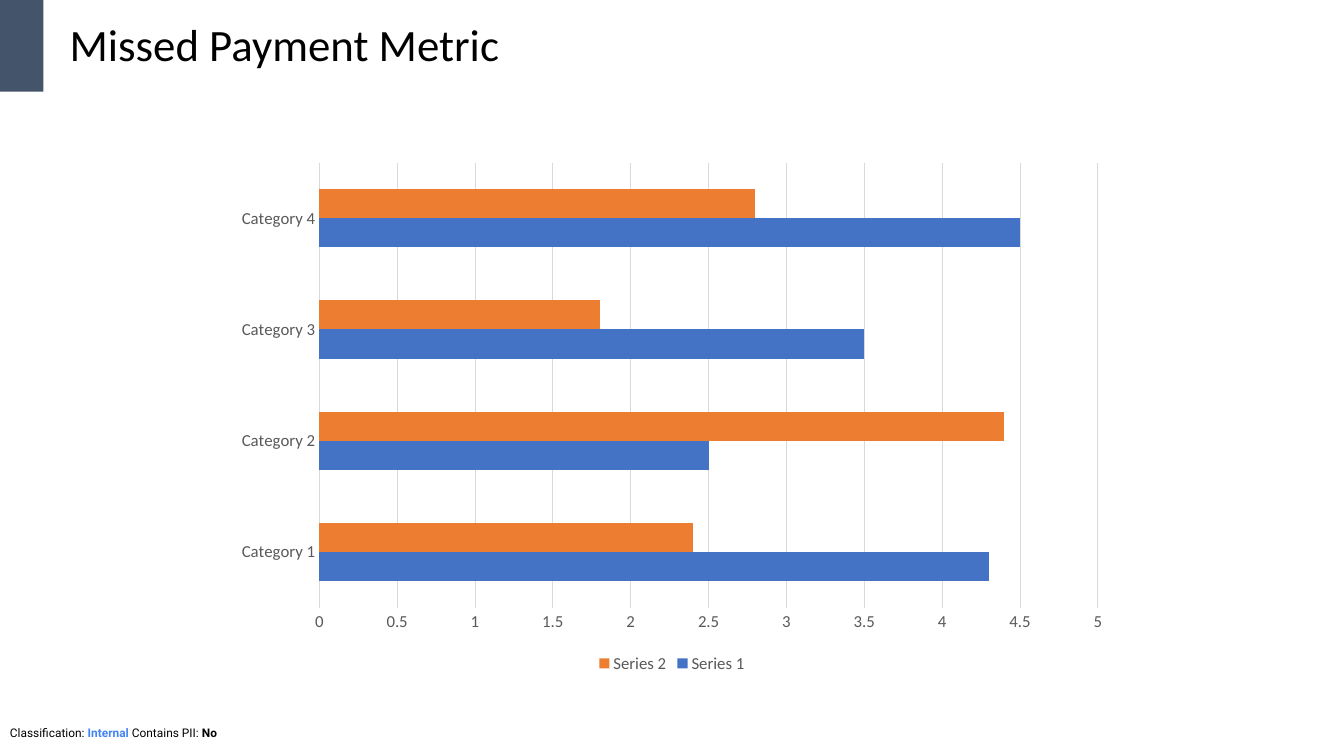
"""Build the missed payment metric slide with a clustered bar chart."""
from dataclasses import dataclass

from pptx import Presentation
from pptx.chart.data import CategoryChartData
from pptx.dml.color import RGBColor
from pptx.enum.chart import XL_CHART_TYPE, XL_LEGEND_POSITION, XL_TICK_MARK
from pptx.enum.shapes import MSO_SHAPE
from pptx.enum.text import MSO_ANCHOR, MSO_AUTO_SIZE, PP_ALIGN
from pptx.util import Inches, Pt

BAR_CLUSTERED = XL_CHART_TYPE.BAR_CLUSTERED
LEGEND_BOTTOM = XL_LEGEND_POSITION.BOTTOM
NO_TICK = XL_TICK_MARK.NONE
RECTANGLE = MSO_SHAPE.RECTANGLE
MIDDLE = MSO_ANCHOR.MIDDLE
LEFT = PP_ALIGN.LEFT
NO_AUTOFIT = MSO_AUTO_SIZE.NONE
FIT_SHAPE = MSO_AUTO_SIZE.SHAPE_TO_FIT_TEXT

TITLE_ONLY_LAYOUT = 5
BLACK = "000000"
SLATE = "44546A"
LABEL_GREY = "595959"
LINE_GREY = "D9D9D9"
LINK_BLUE = "4285F4"


@dataclass(frozen=True)
class TextRun:
    """A run of text with its formatting."""

    text: str
    size: float
    font_name: str
    color: str = BLACK
    bold: bool = False


@dataclass(frozen=True)
class BarSeries:
    """A named chart series with its colour."""

    name: str
    values: tuple[float, ...]
    color: str


TITLE = (TextRun("Missed Payment Metric", 32, "Calibri"),)
CLASSIFICATION = (
    TextRun("Classification: ", 8.5, "Roboto"),
    TextRun("Internal", 8.5, "Roboto", LINK_BLUE, True),
    TextRun(" Contains PII: ", 8.5, "Roboto"),
    TextRun("No", 8.5, "Roboto", bold=True),
)
CATEGORIES = tuple(f"Category {number}" for number in range(1, 5))
SERIES = (
    BarSeries("Series 1", (4.3, 2.5, 3.5, 4.5), "4472C4"),
    BarSeries("Series 2", (2.4, 4.4, 1.8, 2.8), "ED7D31"),
)


def rgb(color: str) -> RGBColor:
    """Turn a hex string into a colour."""
    return RGBColor.from_string(color)


def style_font(font, size: float, name: str, color: str, bold: bool = False) -> None:
    """Set the size, typeface, colour and weight of a font."""
    font.size = Pt(size)
    font.name = name
    font.bold = bold
    font.color.rgb = rgb(color)


def style_line(line) -> None:
    """Draw a thin grey line."""
    line.color.rgb = rgb(LINE_GREY)
    line.width = Pt(0.75)


def place(shape, left: float, top: float, width: float, height: float) -> None:
    """Move and size a shape in inches."""
    shape.left, shape.top = Inches(left), Inches(top)
    shape.width, shape.height = Inches(width), Inches(height)


def write_runs(text_frame, runs: tuple[TextRun, ...], line_spacing: float = 1.0) -> None:
    """Write left-aligned runs into the first paragraph."""
    text_frame.word_wrap = True
    paragraph = text_frame.paragraphs[0]
    paragraph.alignment = LEFT
    paragraph.line_spacing = line_spacing
    for item in runs:
        run = paragraph.add_run()
        run.text = item.text
        style_font(run.font, item.size, item.font_name, item.color, item.bold)


def add_classification(slide) -> None:
    """Add the classification line at the foot of the slide."""
    text_box = slide.shapes.add_textbox(
        Inches(0), Inches(7.15), Inches(13.33), Inches(0.24)
    )
    write_runs(text_box.text_frame, CLASSIFICATION)
    text_box.text_frame.auto_size = FIT_SHAPE


def add_corner_block(slide) -> None:
    """Add the slate block beside the title."""
    block = slide.shapes.add_shape(
        RECTANGLE, Inches(0), Inches(0), Inches(0.43), Inches(0.91)
    )
    block.shadow.inherit = False
    block.fill.solid()
    block.fill.fore_color.rgb = rgb(SLATE)
    block.line.fill.background()


def add_title(slide) -> None:
    """Fill and place the title placeholder."""
    title = slide.shapes.title
    place(title, 0.59, 0.11, 11.57, 0.72)
    title.text_frame.vertical_anchor = MIDDLE
    title.text_frame.auto_size = NO_AUTOFIT
    write_runs(title.text_frame, TITLE, 0.9)


def style_axes(chart) -> None:
    """Format the labels, lines and gridlines of both axes."""
    for axis in (chart.category_axis, chart.value_axis):
        axis.major_tick_mark = NO_TICK
        axis.minor_tick_mark = NO_TICK
        style_font(axis.tick_labels.font, 12, "Calibri", LABEL_GREY)
    style_line(chart.category_axis.format.line)
    value_axis = chart.value_axis
    value_axis.minimum_scale = 0
    value_axis.maximum_scale = 5
    value_axis.major_unit = 0.5
    value_axis.format.line.fill.background()
    value_axis.has_major_gridlines = True
    style_line(value_axis.major_gridlines.format.line)


def add_bar_chart(slide) -> None:
    """Add the clustered bar chart."""
    chart_data = CategoryChartData()
    chart_data.categories = CATEGORIES
    for item in SERIES:
        chart_data.add_series(item.name, item.values)
    chart = slide.shapes.add_chart(
        BAR_CLUSTERED, Inches(2.22), Inches(1.51), Inches(8.89), Inches(5.21), chart_data
    ).chart
    style_font(chart.font, 10, "Calibri", BLACK)
    chart.has_title = False
    chart.has_legend = True
    chart.legend.position = LEGEND_BOTTOM
    chart.legend.include_in_layout = False
    style_font(chart.legend.font, 12, "Calibri", LABEL_GREY)
    style_axes(chart)
    plot = chart.plots[0]
    plot.gap_width = 182
    plot.vary_by_categories = False
    for series, item in zip(plot.series, SERIES):
        series.format.fill.solid()
        series.format.fill.fore_color.rgb = rgb(item.color)


def main() -> None:
    """Build and save the presentation."""
    presentation = Presentation()
    presentation.slide_width = Inches(13.33)
    presentation.slide_height = Inches(7.5)
    slide = presentation.slides.add_slide(presentation.slide_layouts[TITLE_ONLY_LAYOUT])
    add_classification(slide)
    add_corner_block(slide)
    add_title(slide)
    add_bar_chart(slide)
    presentation.save("out.pptx")


if __name__ == "__main__":
    main()
